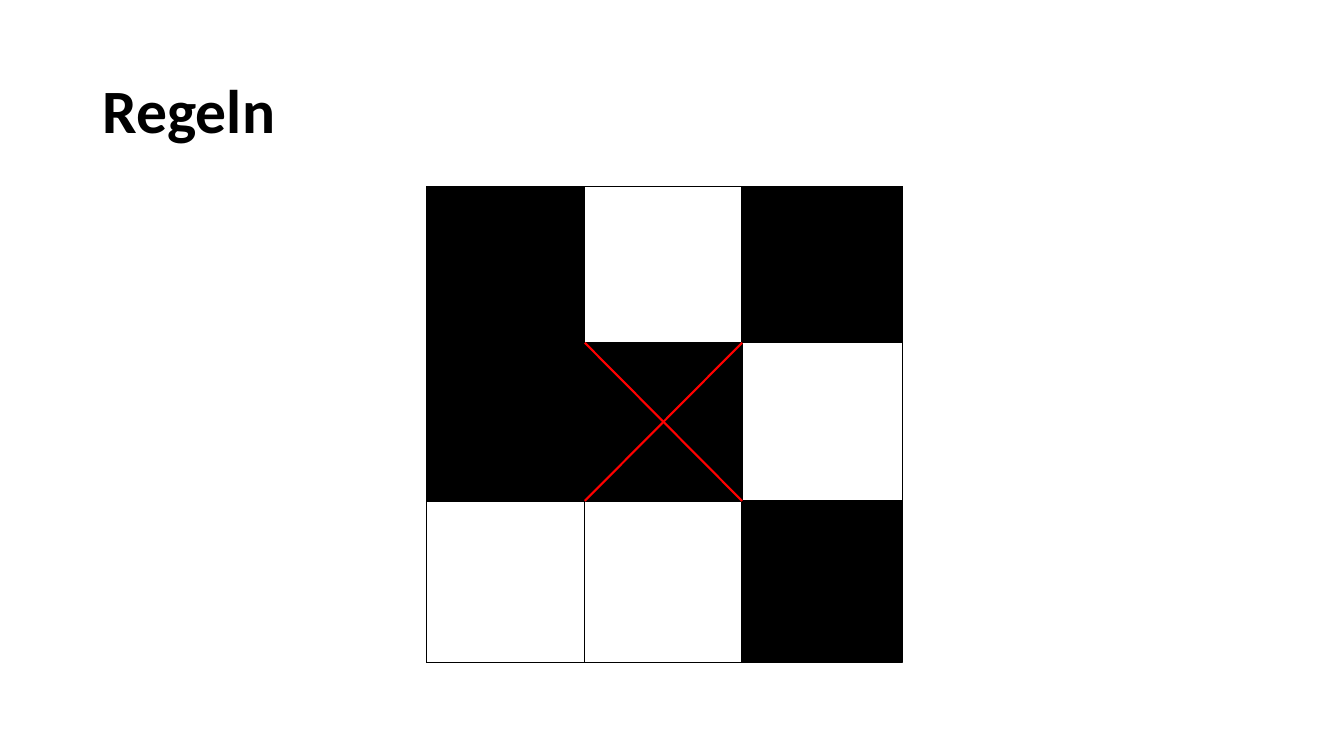
import dataclasses

import lxml.etree
import pptx
import pptx.dml.color
import pptx.enum.shapes
import pptx.enum.text
import pptx.oxml.ns
import pptx.slide
import pptx.util

BLACK = pptx.dml.color.RGBColor(0, 0, 0)
RED = pptx.dml.color.RGBColor(255, 0, 0)

# Edges of the board's columns and rows, in inches
COLS = (4.23, 5.8, 7.36, 8.95)
ROWS = (1.85, 3.4, 4.97, 6.57)
LAST = 3


@dataclasses.dataclass(frozen=True)
class Cell:
    col: int
    row: int


@dataclasses.dataclass(frozen=True)
class Line:
    start: Cell
    end: Cell
    color: pptx.dml.color.RGBColor = BLACK
    width: float = 0.5


def apply(target: object, values: dict) -> None:
    for name, value in values.items():
        setattr(target, name, value)


def point(cell: Cell) -> tuple:
    return pptx.util.Inches(COLS[cell.col]), pptx.util.Inches(ROWS[cell.row])


def draw_line(slide: pptx.slide.Slide, line: Line) -> None:
    link = slide.shapes.add_connector(
        pptx.enum.shapes.MSO_CONNECTOR.STRAIGHT, *point(line.start), *point(line.end))
    link.line.color.rgb = line.color
    link.line.width = pptx.util.Pt(line.width)
    lxml.etree.SubElement(link._element.spPr, pptx.oxml.ns.qn("a:effectLst"))


def draw_cell(slide: pptx.slide.Slide, cell: Cell) -> None:
    left, top = point(cell)
    right, base = point(Cell(cell.col + 1, cell.row + 1))
    box = slide.shapes.add_shape(
        pptx.enum.shapes.MSO_SHAPE.RECTANGLE, left, top, right - left, base - top)
    box.shadow.inherit = False
    box.fill.solid()
    box.fill.fore_color.rgb = BLACK
    box.line.color.rgb = BLACK
    box.line.width = pptx.util.Pt(1)


def draw_title(slide: pptx.slide.Slide, text: str) -> None:
    box = slide.shapes.add_textbox(
        *(pptx.util.Inches(size) for size in (0.92, 0.4, 11.5, 1.45)))
    frame = box.text_frame
    apply(frame, {"word_wrap": True,
                  "vertical_anchor": pptx.enum.text.MSO_ANCHOR.MIDDLE})
    para = frame.paragraphs[0]
    para.line_spacing = 0.9
    run = para.add_run()
    run.text = text
    apply(run.font, {"name": "Calibri", "size": pptx.util.Pt(44), "bold": True})
    run.font.color.rgb = BLACK


def main() -> None:
    deck = pptx.Presentation()
    apply(deck, {"slide_width": pptx.util.Inches(13.33),
                 "slide_height": pptx.util.Inches(7.5)})
    slide = deck.slides.add_slide(deck.slide_layouts[6])
    draw_title(slide, "Regeln")

    # Board lines
    for edge in range(LAST + 1):
        draw_line(slide, Line(Cell(0, edge), Cell(LAST, edge)))
        draw_line(slide, Line(Cell(edge, LAST), Cell(edge, 0)))

    # Black cells
    for cell in (Cell(1, 1), Cell(0, 0), Cell(0, 1), Cell(2, 2), Cell(2, 0)):
        draw_cell(slide, cell)

    # Red cross on the middle cell
    draw_line(slide, Line(Cell(1, 1), Cell(2, 2), RED, 1.5))
    draw_line(slide, Line(Cell(1, 2), Cell(2, 1), RED, 1.5))

    deck.save("out.pptx")


if __name__ == "__main__":
    main()
